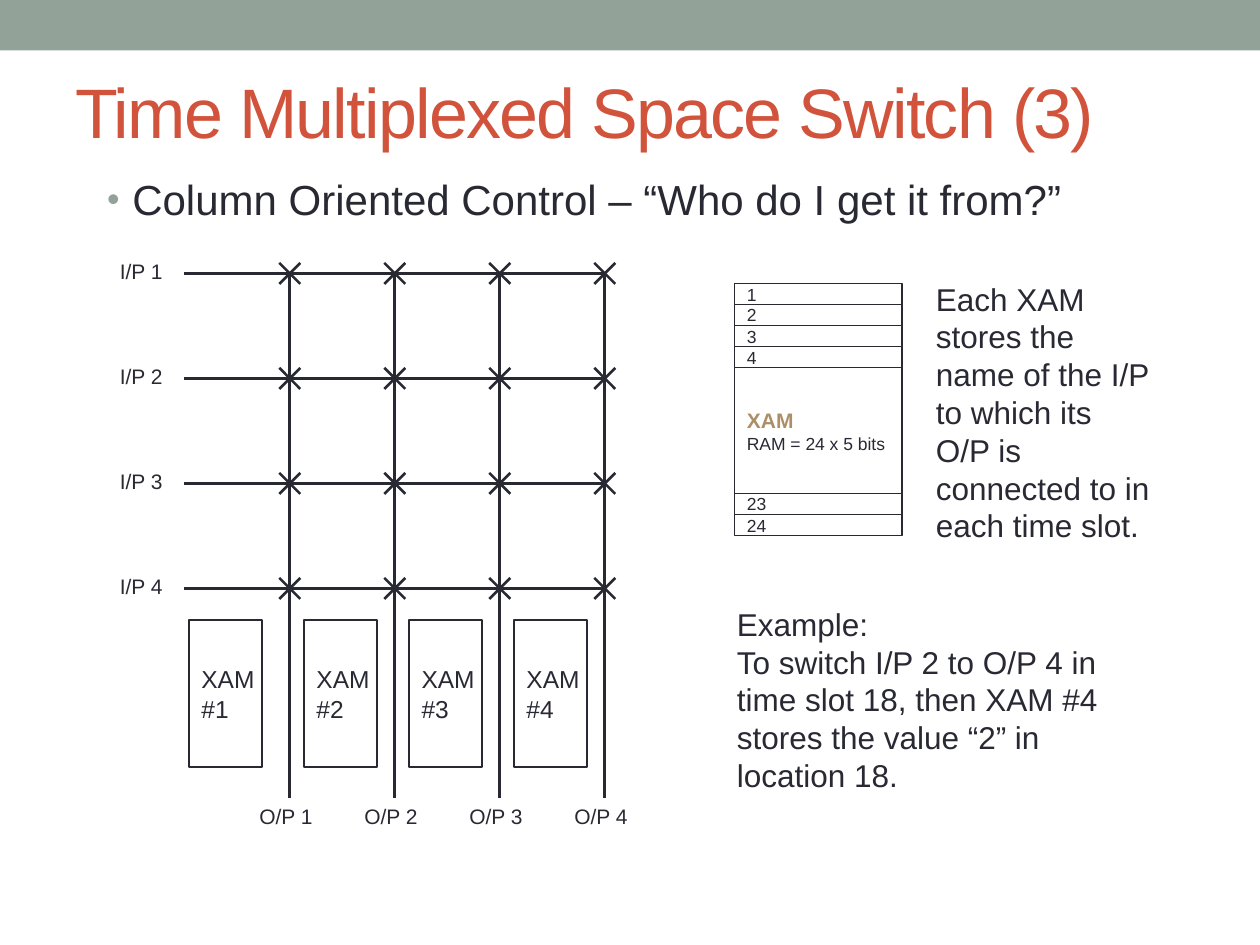
from dataclasses import dataclass

from lxml.etree import SubElement
from pptx import Presentation
from pptx.dml.color import RGBColor
from pptx.enum.shapes import MSO_CONNECTOR, MSO_SHAPE
from pptx.enum.text import MSO_ANCHOR, MSO_AUTO_SIZE, PP_ALIGN
from pptx.oxml.ns import qn
from pptx.util import Inches, Pt


@dataclass(frozen=True)
class Theme:
    font: str = "Arial"
    ink: str = "292934"
    paper: str = "FFFFFF"
    band: str = "93A299"
    heading: str = "D2533C"
    accent: str = "AD8F67"
    title_size: int = 40
    body_size: int = 24
    note_size: int = 18
    control_size: int = 14
    label_size: int = 12
    cell_size: int = 10
    wire: float = 1.5
    border: float = 1


@dataclass(frozen=True)
class Box:
    left: float
    top: float
    width: float
    height: float

    def lengths(self):
        return [Inches(value) for value in (self.left, self.top, self.width, self.height)]


THEME = Theme()
PORTS = 4
PITCH = 5 / 6


def color(name):
    return RGBColor.from_string(name)


def write_text(shape, *lines, size, text_color=THEME.ink, align=PP_ALIGN.LEFT,
               anchor=MSO_ANCHOR.TOP, wrap=True, auto_size=MSO_AUTO_SIZE.NONE):
    frame = shape.text_frame
    frame.text = "\n".join(lines)
    frame.auto_size = auto_size
    frame.word_wrap = wrap
    frame.vertical_anchor = anchor
    for paragraph in frame.paragraphs:
        paragraph.alignment = align
        paragraph.space_before = Pt(0)
        for run in paragraph.runs:
            run.font.name = THEME.font
            run.font.size = Pt(size)
            run.font.color.rgb = color(text_color)
    return frame


def add_text(shapes, box, *lines, **text_format):
    text_box = shapes.add_textbox(*box.lengths())
    write_text(text_box, *lines, auto_size=MSO_AUTO_SIZE.SHAPE_TO_FIT_TEXT, **text_format)


def add_rectangle(shapes, box, fill=THEME.paper, outline=THEME.ink):
    rectangle = shapes.add_shape(MSO_SHAPE.RECTANGLE, *box.lengths())
    rectangle.shadow.inherit = False
    rectangle.fill.solid()
    rectangle.fill.fore_color.rgb = color(fill)
    if outline:
        rectangle.line.color.rgb = color(outline)
        rectangle.line.width = Pt(THEME.border)
    else:
        rectangle.line.fill.background()
    return rectangle


def add_line(shapes, *ends):
    line = shapes.add_connector(MSO_CONNECTOR.STRAIGHT, *[Inches(end) for end in ends])
    line.line.color.rgb = color(THEME.ink)
    line.line.width = Pt(THEME.wire)
    SubElement(line._element.spPr, qn("a:effectLst"))


def place(shape, box):
    shape.left, shape.top, shape.width, shape.height = box.lengths()


def add_title(slide, box):
    title = slide.shapes.title
    place(title, box)
    frame = write_text(title, "Time Multiplexed Space Switch (3)", size=THEME.title_size,
                       text_color=THEME.heading, anchor=MSO_ANCHOR.MIDDLE)
    frame.paragraphs[0].runs[0].font._element.set("spc", "-100")


def add_body(slide, box):
    body = slide.placeholders[1]
    place(body, box)
    body.text_frame.text = "Bullet"
    frame = write_text(body, "Column Oriented Control – “Who do I get it from?”",
                       size=THEME.body_size)
    properties = frame.paragraphs[0]._p.get_or_add_pPr()
    properties.set("marL", str(Inches(0.2)))
    properties.set("indent", str(Inches(-0.2)))
    bullet_color = SubElement(properties, qn("a:buClr"))
    SubElement(bullet_color, qn("a:srgbClr"), val=THEME.band)
    SubElement(properties, qn("a:buSzPct"), val="85000")
    SubElement(properties, qn("a:buFont"), typeface=THEME.font)
    SubElement(properties, qn("a:buChar"), char="•")


def add_switch_matrix(slide, box):
    shapes = slide.shapes.add_group_shape().shapes
    columns = [box.left + 1.47 + PITCH * index for index in range(PORTS)]
    rows = [box.top + 0.17 + PITCH * index for index in range(PORTS)]
    bottom = box.top + box.height - 0.3
    reach = 1 / 12
    for number, y in enumerate(rows, 1):
        add_line(shapes, box.left + 0.63, y, columns[-1], y)
        add_text(shapes, Box(box.left, y - 0.17, 0.56, 0.3), f"I/P {number}",
                 size=THEME.label_size, align=PP_ALIGN.RIGHT, wrap=False)
    for number, x in enumerate(columns, 1):
        add_line(shapes, x, rows[0], x, bottom)
        add_text(shapes, Box(x - 0.34, bottom, 0.67, 0.3), f"O/P {number}",
                 size=THEME.label_size)
        for y in rows:
            add_line(shapes, x + reach, y - reach, x - reach, y + reach)
            add_line(shapes, x - reach, y - reach, x + reach, y + reach)


def add_control_memories(slide, box):
    width = 0.58
    last_left = box.left + box.width - width
    lefts = [box.left] + [last_left - PITCH * step for step in reversed(range(PORTS - 1))]
    for number, left in enumerate(lefts, 1):
        memory = add_rectangle(slide.shapes, Box(left, box.top, width, box.height))
        write_text(memory, "XAM", f"#{number}", size=THEME.control_size,
                   anchor=MSO_ANCHOR.MIDDLE, wrap=False)


def add_memory_map(slide, box):
    shapes = slide.shapes.add_group_shape().shapes
    row_height = box.height / 12
    top = box.top
    for label in ("1", "2", "3", "4", None, "23", "24"):
        height = row_height if label else row_height * 6
        cell = add_rectangle(shapes, Box(box.left, top, box.width, height))
        if label:
            write_text(cell, label, size=THEME.cell_size,
                       anchor=MSO_ANCHOR.MIDDLE, wrap=False)
        else:
            frame = write_text(cell, "XAM", "RAM = 24 x 5 bits", size=THEME.cell_size,
                               anchor=MSO_ANCHOR.MIDDLE)
            heading = frame.paragraphs[0].runs[0].font
            heading.size = Pt(THEME.label_size)
            heading.bold = True
            heading.color.rgb = color(THEME.accent)
        top += height


def add_note(slide, box, *lines):
    add_text(slide.shapes, box, *lines, size=THEME.note_size)


def main():
    presentation = Presentation()
    presentation.slide_width = Inches(10)
    presentation.slide_height = Inches(7.5)
    slide = presentation.slides.add_slide(presentation.slide_layouts[1])
    slide.background.fill.solid()
    slide.background.fill.fore_color.rgb = color(THEME.paper)

    add_rectangle(slide.shapes, Box(0, 0, 10, 0.4), fill=THEME.band, outline=None)
    add_title(slide, Box(0.5, 0.42, 9, 0.92))
    add_body(slide, Box(0.75, 1.33, 8.5, 0.5))
    add_switch_matrix(slide, Box(0.83, 2, 4.3, 4.63))
    add_control_memories(slide, Box(1.5, 4.92, 3.16, 1.17))
    add_memory_map(slide, Box(5.83, 2.25, 1.33, 2))
    add_note(slide, Box(7.33, 2.17, 1.92, 1.26),
             "Each XAM stores the name of the I/P to which its O/P is connected to "
             "in each time slot.")
    add_note(slide, Box(5.75, 4.75, 3.27, 1.15), "Example:",
             "To switch I/P 2 to O/P 4 in time slot 18, then XAM #4 stores the value "
             "“2” in location 18.")
    presentation.save("out.pptx")


if __name__ == "__main__":
    main()
